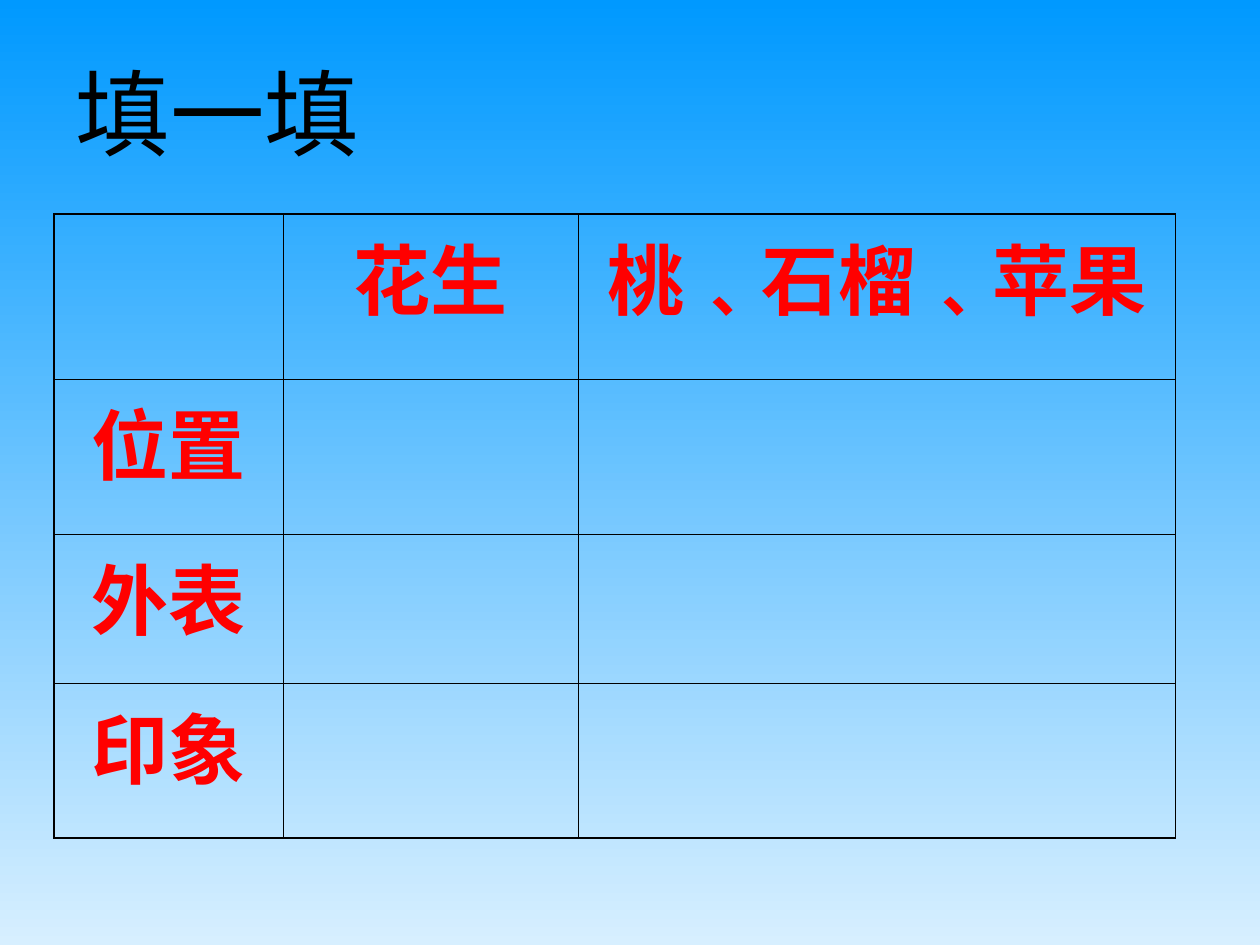
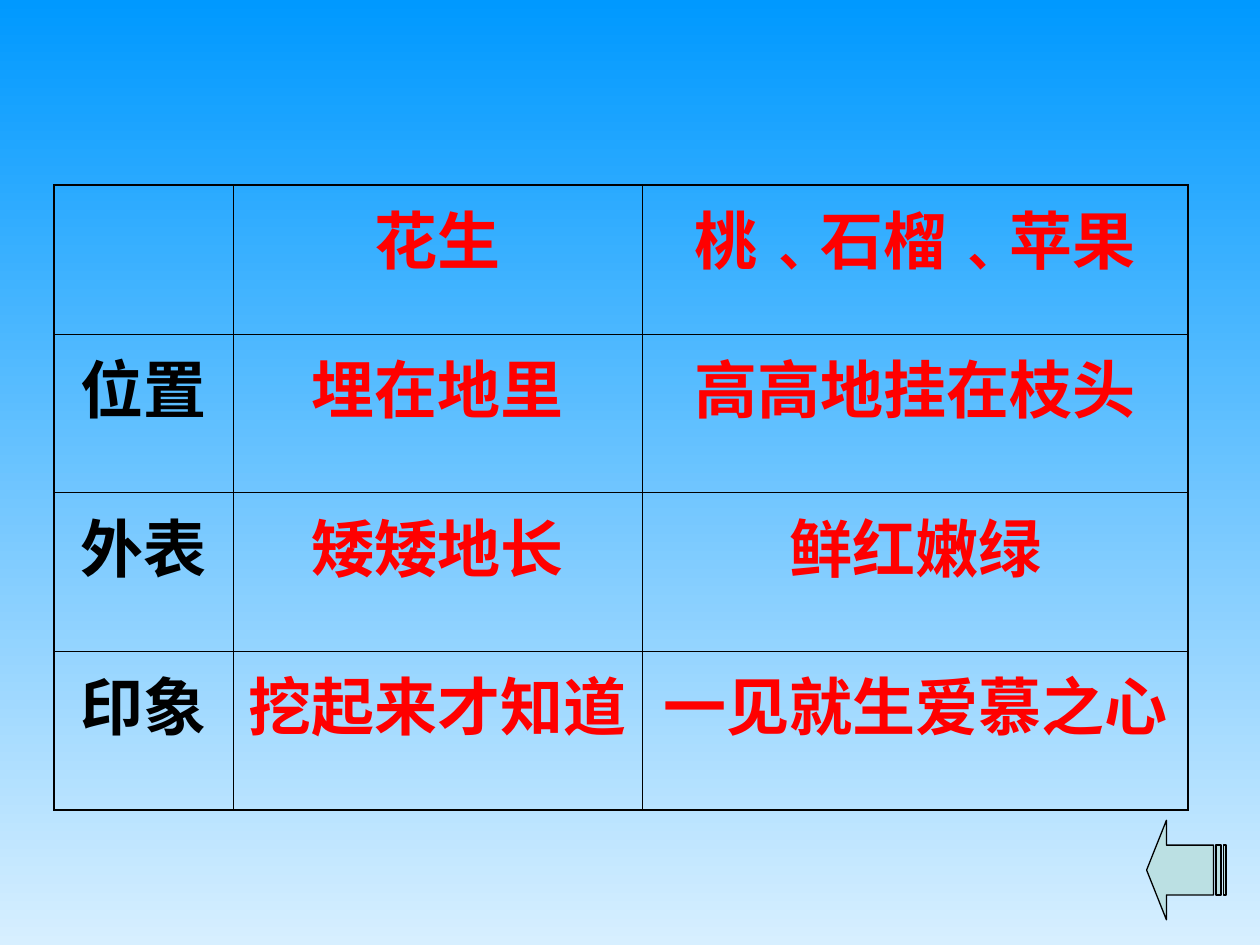
from lxml import etree
from pptx import Presentation
from pptx.dml.color import RGBColor
from pptx.enum.shapes import MSO_SHAPE
from pptx.enum.text import MSO_ANCHOR, PP_ALIGN
from pptx.oxml.ns import qn
from pptx.util import Inches, Pt

STRIPED_ARROW = MSO_SHAPE.STRIPED_RIGHT_ARROW
MIDDLE = MSO_ANCHOR.MIDDLE
LEFT, CENTER = PP_ALIGN.LEFT, PP_ALIGN.CENTER

SKY_TOP = RGBColor(0x00, 0x99, 0xFF)
SKY_BOTTOM = RGBColor(0xD7, 0xEF, 0xFF)
BLACK = RGBColor(0x00, 0x00, 0x00)
RED = RGBColor(0xFF, 0x00, 0x00)
PALE_TEAL = RGBColor(0xBB, 0xE0, 0xE3)

FONT = "Arial"
OUTER_LINE, INNER_LINE = Pt(1.08), Pt(0.45)
TITLE_ONLY, BLANK = 5, 6


def write_text(text_frame, text, size, color=BLACK, bold=False, align=LEFT, before=0):
    paragraph = text_frame.paragraphs[0]
    paragraph.alignment = align
    paragraph.space_before = Pt(before)
    run = paragraph.add_run()
    run.text = text
    run.font.name = FONT
    run.font.size = Pt(size)
    run.font.bold = bold
    run.font.color.rgb = color


def add_grid(slide, top, widths, heights, rows, size, label_color):
    """Add an unfilled table whose outer border is heavier than its inner lines."""
    last_row, last_column = len(heights) - 1, len(widths) - 1
    frame = slide.shapes.add_table(
        len(heights), len(widths), Inches(0.43), Inches(top),
        Inches(sum(widths)), Inches(sum(heights)))
    table = frame.table
    table.first_row = table.horz_banding = False
    for column, width in zip(table.columns, widths):
        column.width = Inches(width)
    for row, height in zip(table.rows, heights):
        row.height = Inches(height)

    for r, texts in enumerate(rows):
        for c, text in enumerate(texts):
            cell = table.cell(r, c)
            if text:
                write_text(cell.text_frame, text, size, bold=True, align=CENTER,
                           color=label_color if c == 0 else RED, before=size / 4)
            properties = cell._tc.get_or_add_tcPr()
            sides = {"L": c == 0, "R": c == last_column,
                     "T": r == 0, "B": r == last_row}
            for side, is_outer in sides.items():
                width = OUTER_LINE if is_outer else INNER_LINE
                line = etree.SubElement(properties, qn(f"a:ln{side}"), w=str(int(width)))
                fill = etree.SubElement(line, qn("a:solidFill"))
                etree.SubElement(fill, qn("a:srgbClr"), val=str(BLACK))
            cell.fill.background()


presentation = Presentation()
presentation.slide_width = Inches(10)
presentation.slide_height = Inches(7.5)

# Shared sky gradient, running from top to bottom
sky = presentation.slide_master.background.fill
sky.gradient()
sky.gradient_angle = 270
for stop, position, color in zip(sky.gradient_stops, (0, 1), (SKY_TOP, SKY_BOTTOM)):
    stop.position = position
    stop.color.rgb = color

header = ["", "花生", "桃﹑石榴﹑苹果"]
labels = ["位置", "外表", "印象"]
answers = [
    ["埋在地里", "高高地挂在枝头"],
    ["矮矮地长", "鲜红嫩绿"],
    ["挖起来才知道", "一见就生爱慕之心"],
]

# Slide 1: table to fill in
slide = presentation.slides.add_slide(presentation.slide_layouts[TITLE_ONLY])
title = slide.shapes.title
title.left, title.top = Inches(0.5), Inches(0.3)
title.width, title.height = Inches(3.32), Inches(1.17)
title.text_frame.vertical_anchor = MIDDLE
write_text(title.text_frame, "填一填", 54)
add_grid(slide, 1.7, [1.82, 2.34, 4.74], [1.31, 1.23, 1.18, 1.23],
         [header] + [[label, "", ""] for label in labels], 44, RED)

# Slide 2: completed table
slide = presentation.slides.add_slide(presentation.slide_layouts[BLANK])
add_grid(slide, 1.47, [1.42, 3.25, 4.33], [1.18] + [1.26] * 3,
         [header] + [[label] + answer for label, answer in zip(labels, answers)],
         36, BLACK)

back_arrow = slide.shapes.add_shape(
    STRIPED_ARROW, Inches(9.1), Inches(6.51), Inches(0.63), Inches(0.79))
back_arrow.rotation = 180
back_arrow.adjustments[0] = 0.5
back_arrow.adjustments[1] = 0.25
back_arrow.shadow.inherit = False
back_arrow.fill.solid()
back_arrow.fill.fore_color.rgb = PALE_TEAL
back_arrow.line.color.rgb = BLACK
back_arrow.line.width = Pt(0.75)

presentation.save("out.pptx")
